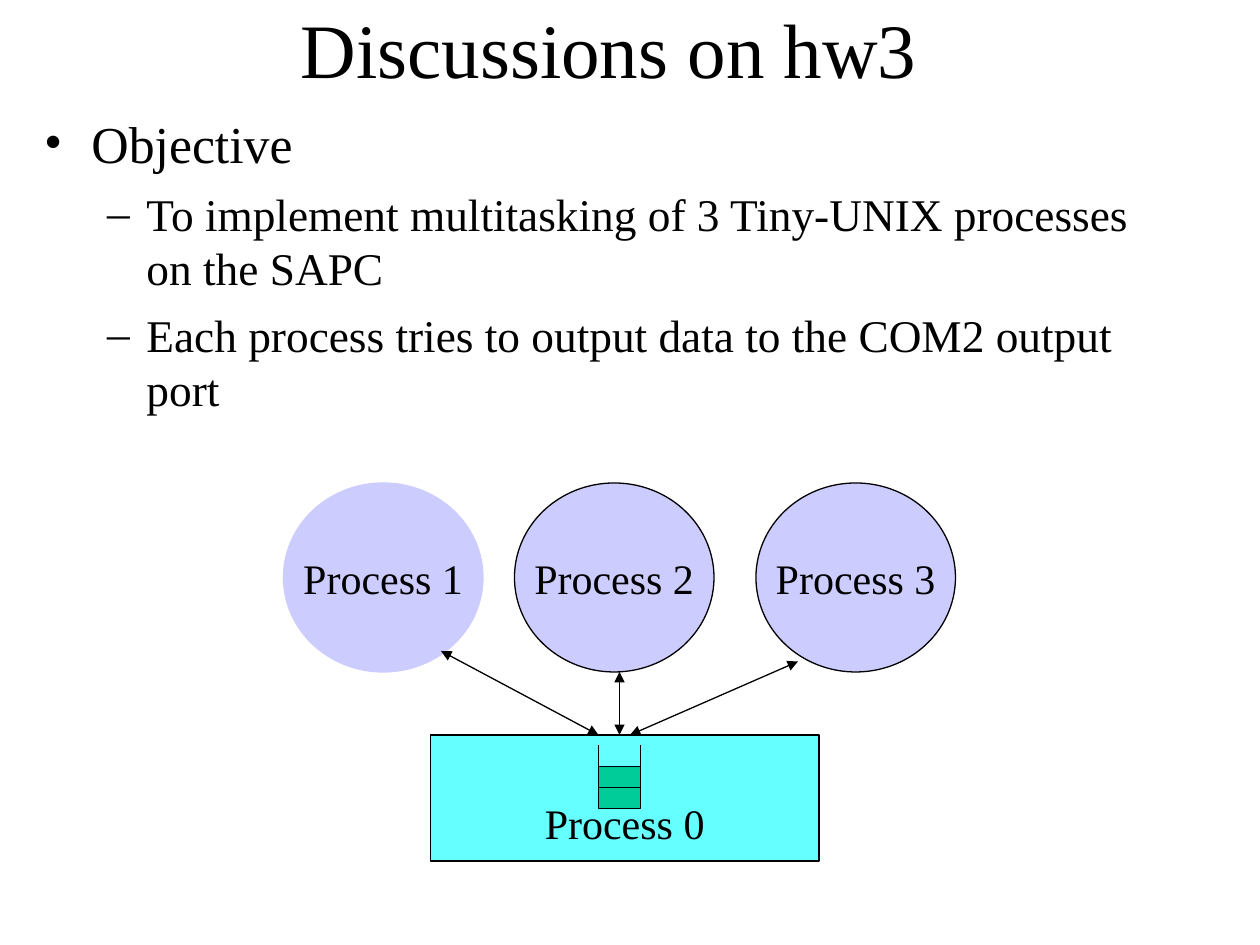
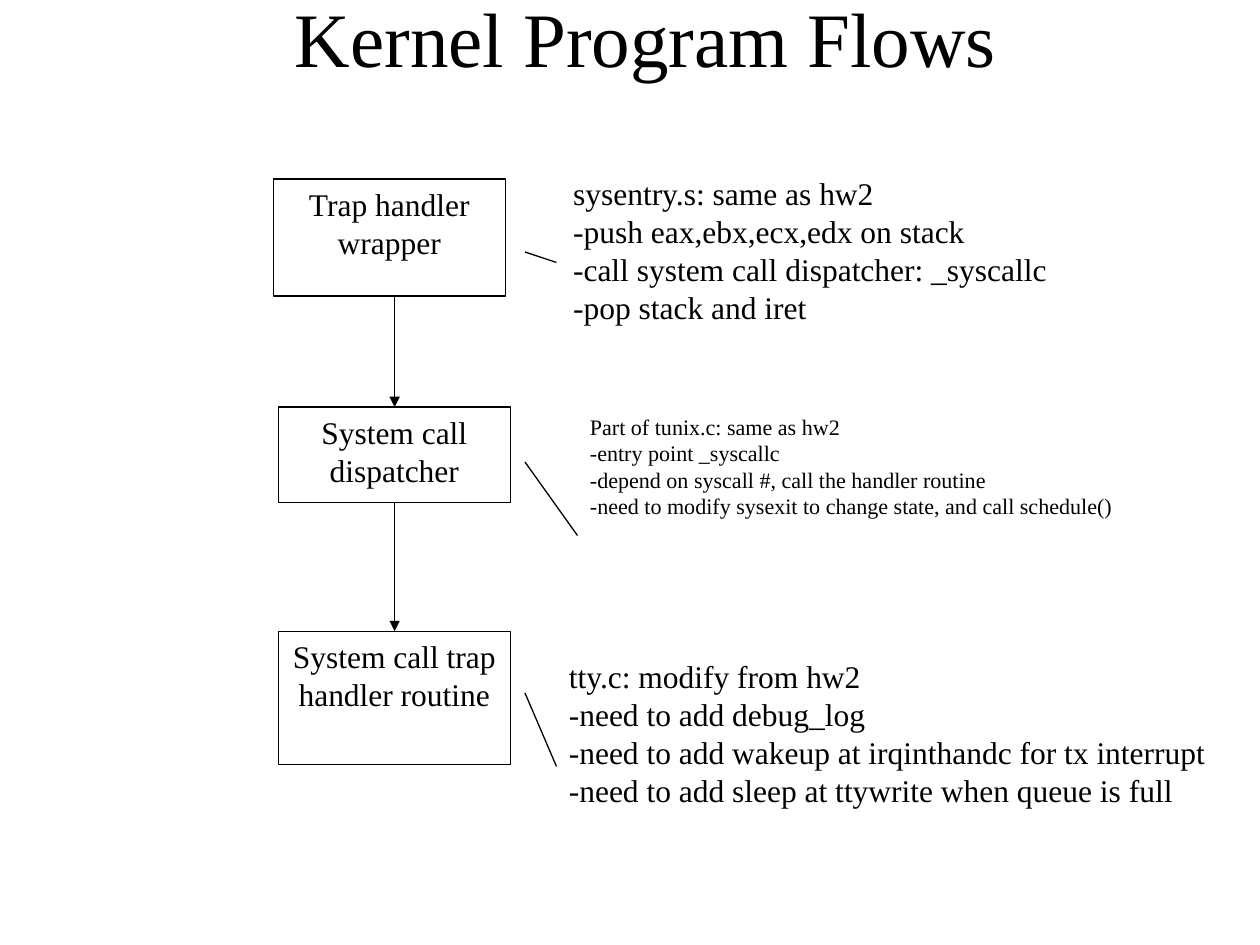
from dataclasses import dataclass
from itertools import pairwise

from lxml.etree import SubElement
from pptx import Presentation
from pptx.dml.color import RGBColor as RGB
from pptx.enum.shapes import MSO_CONNECTOR as Link, MSO_SHAPE as Shape
from pptx.enum.text import MSO_ANCHOR as Anchor, MSO_AUTO_SIZE as AutoSize, PP_ALIGN as Align
from pptx.oxml.ns import qn
from pptx.util import Pt


@dataclass(frozen=True)
class Theme:
    font: str = "Times New Roman"
    ink: RGB = RGB(0, 0, 0)
    paper: RGB = RGB(255, 255, 255)
    process: RGB = RGB(0xCC, 0xCC, 0xFF)
    kernel: RGB = RGB(0x66, 0xFF, 0xFF)
    queue: RGB = RGB(0x00, 0xCC, 0x99)
    title_size: float = 44
    process_size: float = 24
    flow_size: float = 18
    small_size: float = 12.6
    line_width: float = 0.75


THEME = Theme()

# Per list level: bullet, text size, left margin, hanging indent, space before
LEVELS = [("•", 29.6, 27, 27, 8), ("–", 25.9, 58.5, 22.5, 7)]


def assign(target, values):
    for name, value in values.items():
        setattr(target, name, value)


class Deck:
    """Holds the theme and the slide being built."""

    def __init__(self, theme):
        self.theme = theme
        self.prs = Presentation()
        assign(self.prs, {"slide_width": Pt(720), "slide_height": Pt(540)})
        self.slide = None

    def new_slide(self, layout, title, box):
        self.slide = self.prs.slides.add_slide(self.prs.slide_layouts[layout])
        frame = self.place(self.slide.shapes.title, box, Anchor.MIDDLE)
        self.add_text(frame.paragraphs[0], title, self.theme.title_size, Align.CENTER)

    def place(self, holder, box, anchor):
        assign(holder, dict(zip(("left", "top", "width", "height"), map(Pt, box))))
        assign(holder.text_frame, {"auto_size": AutoSize.NONE, "word_wrap": True,
                                   "vertical_anchor": anchor})
        return holder.text_frame

    def add_text(self, paragraph, text, size, align):
        paragraph.alignment = align
        run = paragraph.add_run()
        run.text = text
        assign(run.font, {"name": self.theme.font, "size": Pt(size)})
        run.font.color.rgb = self.theme.ink

    def bullets(self, items, box):
        frame = self.place(self.slide.placeholders[1], box, Anchor.TOP)
        for i, (level, text) in enumerate(items):
            mark, size, margin, hang, before = LEVELS[level]
            paragraph = frame.add_paragraph() if i else frame.paragraphs[0]
            self.add_text(paragraph, text, size, Align.LEFT)
            assign(paragraph, {"level": level, "space_before": Pt(before)})
            props = paragraph._p.get_or_add_pPr()
            props.set("marL", str(Pt(margin)))
            props.set("indent", str(-Pt(hang)))
            SubElement(props, qn("a:buFont")).set("typeface", self.theme.font)
            SubElement(props, qn("a:buChar")).set("char", mark)

    def shape(self, kind, box, fill, line=None, lines=(), size=THEME.flow_size,
              align=Align.CENTER, parent=None, **frame_format):
        item = (parent or self.slide).shapes.add_shape(kind, *map(Pt, box))
        item.shadow.inherit = False
        item.fill.solid()
        item.fill.fore_color.rgb = fill
        if line is None:
            item.line.fill.background()
        else:
            item.line.color.rgb = line
            item.line.width = Pt(self.theme.line_width)
        frame = item.text_frame
        assign(frame, {"word_wrap": True, "vertical_anchor": Anchor.TOP} | frame_format)
        for i, text in enumerate(lines):
            paragraph = frame.add_paragraph() if i else frame.paragraphs[0]
            self.add_text(paragraph, text, size, align)

    def line(self, start, end, heads=(), parent=None):
        link = (parent or self.slide).shapes.add_connector(
            Link.STRAIGHT, *map(Pt, (*start, *end)))
        link.line.color.rgb = self.theme.ink
        link.line.width = Pt(self.theme.line_width)
        outline = link.line.fill._xPr
        for head in heads:
            SubElement(outline, qn(f"a:{head}")).set("type", "triangle")
        SubElement(link._element.spPr, qn("a:effectLst"))


def build_homework(deck):
    theme = deck.theme
    deck.new_slide(1, "Discussions on hw3", (42, 12, 612, 30))
    deck.bullets([
        (0, "Objective"),
        (1, "To implement multitasking of 3 Tiny-UNIX processes on the SAPC"),
        (1, "Each process tries to output data to the COM2 output port"),
    ], (18, 60, 666, 180))

    # User processes
    outlines = [theme.process, theme.ink, theme.ink]
    for number, (left, outline) in enumerate(zip((162, 294, 432), outlines), 1):
        deck.shape(Shape.OVAL, (left, 276, 114, 108), theme.process, outline,
                   [f"Process {number}"], theme.process_size,
                   word_wrap=False, vertical_anchor=Anchor.MIDDLE)

    # Kernel process, its label low in the box
    deck.shape(Shape.RECTANGLE, (246, 420, 222, 72), theme.kernel, theme.ink,
               ["Process 0"], theme.process_size, word_wrap=False,
               vertical_anchor=Anchor.BOTTOM, margin_bottom=Pt(7.2))
    for process_end, kernel_x in (((252, 372), 342), ((354, 384), 354), ((456, 378), 360)):
        deck.line(process_end, (kernel_x, 420), ("headEnd", "tailEnd"))

    # Output queue: two filled cells under an open top
    queue = deck.slide.shapes.add_group_shape()
    left, top, width, cell = 342, 438, 24, 12
    for row in range(2):
        deck.shape(Shape.RECTANGLE, (left, top + row * cell, width, cell),
                   theme.queue, theme.ink, parent=queue)
    for wall in (left, left + width):
        deck.line((wall, top - cell), (wall, top), parent=queue)


def build_kernel_flow(deck):
    theme = deck.theme
    deck.new_slide(5, "Kernel Program Flows", (54, 0, 630, 42))

    # Stages: label, left, top, height
    stages = [
        ("Trap handler wrapper", 156.25, 102.25, 67),
        ("System call dispatcher", 159.1, 232.6, 54.7),
        ("System call trap handler routine", 159.1, 360.7, 76.3),
    ]
    for label, left, top, height in stages:
        deck.shape(Shape.RECTANGLE, (left, top, 132.5, height),
                   theme.paper, theme.ink, [label])

    # Notes: box, text size, lines
    notes = [
        ((320.4, 96, 322, 94.5), theme.flow_size, [
            "sysentry.s: same as hw2",
            "-push eax,ebx,ecx,edx on stack",
            "-call system call dispatcher: _syscallc",
            "-pop stack and iret"]),
        ((330, 232.6, 372, 72.7), theme.small_size, [
            "Part of tunix.c: same as hw2",
            "-entry point _syscallc",
            "-depend on syscall #, call the handler routine",
            "-need to modify sysexit to change state, and call schedule()"]),
        ((318, 372, 384, 96), theme.flow_size, [
            "tty.c: modify from hw2",
            "-need to add debug_log",
            "-need to add wakeup at irqinthandc for tx interrupt",
            "-need to add sleep at ttywrite when queue is full"]),
    ]
    for box, size, lines in notes:
        deck.shape(Shape.RECTANGLE, box, theme.paper, None, lines, size, Align.LEFT)

    # Arrows between stages, then leaders to the notes
    for (_, _, top, height), (_, _, next_top, _) in pairwise(stages):
        deck.line((225.5, top + height), (225.5, next_top), ("tailEnd",))
    for start_y, note_end in ((144, (318, 150)), (264, (330, 306)), (396, (318, 438))):
        deck.line((300, start_y), note_end)


def main():
    deck = Deck(THEME)
    build_homework(deck)
    build_kernel_flow(deck)
    deck.prs.save("out.pptx")


if __name__ == "__main__":
    main()
